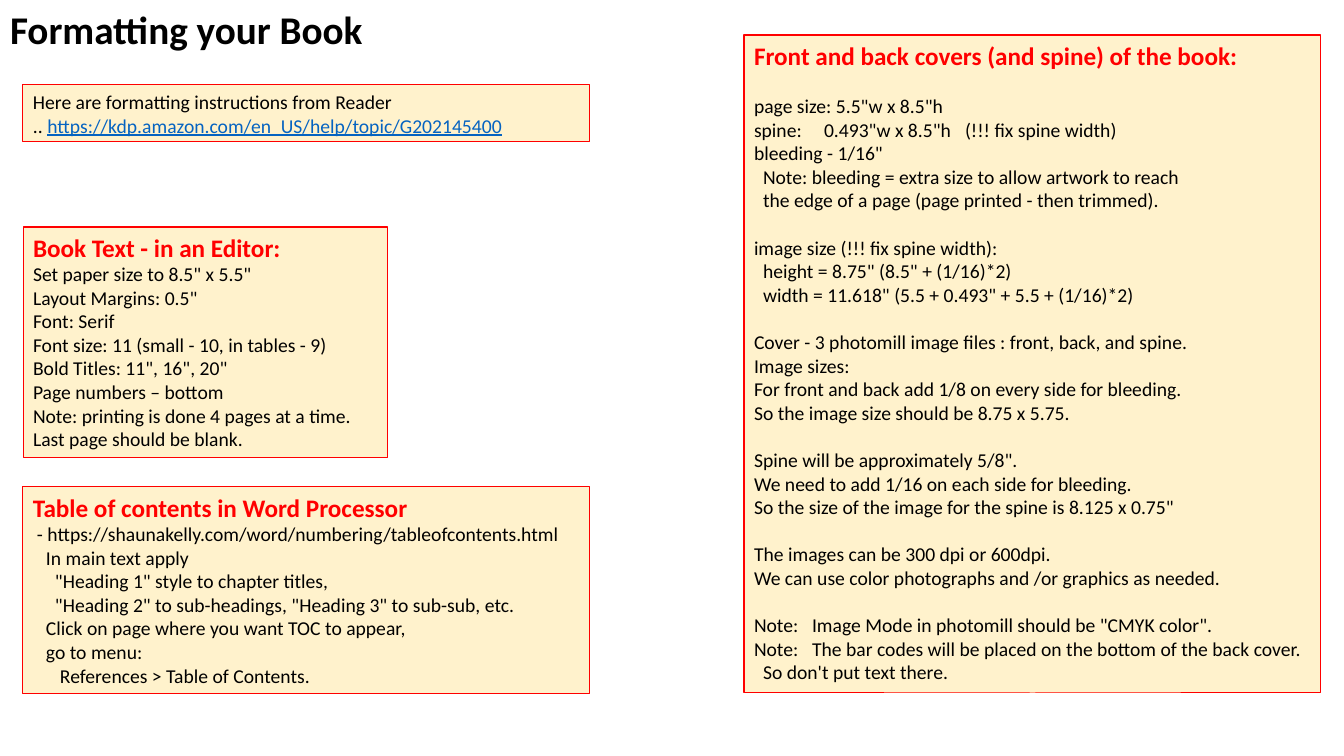
from collections import namedtuple

from lxml.etree import SubElement
from pptx import Presentation
from pptx.dml.color import RGBColor
from pptx.enum.shapes import MSO_SHAPE as Preset
from pptx.enum.text import MSO_ANCHOR as Anchor, MSO_AUTO_SIZE as AutoSize, PP_ALIGN as Align
from pptx.oxml.ns import qn
from pptx.util import Emu, Pt

EMU_PER_PX = 914400 / 100.8
FONT = "Calibri"
COLORS = {"text": "000000", "accent": "FF0000", "panel": "FFF2CC", "link": "0563C1"}
TITLE_PT, HEADING_PT, BODY_PT, SECTION_GAP_PT = 28, 18, 14, 17
PANEL_LEFT, WIDE_PANEL = 23, 567

Line = namedtuple("Line", "text indent gap tabs link", defaults=(0, False, (), ""))

INSTRUCTIONS = [
    Line("Here are formatting instructions from Reader"),
    Line(".. ", link="https://kdp.amazon.com/en_US/help/topic/G202145400"),
]

BOOK_TEXT = [
    Line('Set paper size to 8.5" x 5.5"'),
    Line('Layout Margins: 0.5"'),
    Line("Font: Serif"),
    Line("Font size: 11 (small - 10, in tables - 9)"),
    Line('Bold Titles: 11", 16", 20"'),
    Line("Page numbers – bottom"),
    Line("Note: printing is done 4 pages at a time."),
    Line("Last page should be blank."),
]

CONTENTS_TABLE = [
    Line("- https://shaunakelly.com/word/numbering/tableofcontents.html", 4),
    Line("In main text apply", 13),
    Line('"Heading 1" style to chapter titles,', 22),
    Line('"Heading 2" to sub-headings, "Heading 3" to sub-sub, etc.', 22),
    Line("Click on page where you want TOC to appear,", 13),
    Line("go to menu:", 13),
    Line("References > Table of Contents.", 27),
]

COVERS = [
    Line('page size: 5.5"w x 8.5"h', gap=True),
    Line('spine:\t0.493"w x 8.5"h\t(!!! fix spine width)', tabs=(70, 211)),
    Line('bleeding - 1/16"'),
    Line("Note: bleeding = extra size to allow artwork to reach", 9),
    Line("the edge of a page (page printed - then trimmed).", 9),
    Line("image size (!!! fix spine width):", gap=True),
    Line('height = 8.75" (8.5" + (1/16)*2)', 9),
    Line('width = 11.618" (5.5 + 0.493" + 5.5 + (1/16)*2)', 9),
    Line("Cover - 3 photomill image files : front, back, and spine.", gap=True),
    Line("Image sizes:"),
    Line("For front and back add 1/8 on every side for bleeding."),
    Line("So the image size should be 8.75 x 5.75."),
    Line('Spine will be approximately 5/8".', gap=True),
    Line("We need to add 1/16 on each side for bleeding."),
    Line('So the size of the image for the spine is 8.125 x 0.75"'),
    Line("The images can be 300 dpi or 600dpi.", gap=True),
    Line("We can use color photographs and /or graphics as needed."),
    Line('Note:\tImage Mode in photomill should be "CMYK color".', gap=True, tabs=(58,)),
    Line("Note:\tThe bar codes will be placed on the bottom of the back cover.", tabs=(58,)),
    Line("So don't put text there.", 9),
]


def px(length):
    return Emu(round(length * EMU_PER_PX))


def rgb(name):
    return RGBColor.from_string(COLORS[name])


def format_run(run, size, color, bold=False):
    run.font.name = FONT
    run.font.size = Pt(size)
    run.font.bold = bold
    run.font.color.rgb = rgb(color)


def set_up_frame(frame):
    frame.word_wrap = True
    frame.auto_size = AutoSize.NONE
    frame.vertical_anchor = Anchor.TOP
    frame.margin_left = frame.margin_right = px(10)
    frame.margin_top = frame.margin_bottom = px(5)


def write_title(slide, text):
    title = slide.shapes.title
    title.left, title.top, title.width, title.height = map(px, (0, 0, 514, 57))
    frame = title.text_frame
    frame.text = text
    set_up_frame(frame)
    paragraph = frame.paragraphs[0]
    paragraph.alignment = Align.LEFT
    paragraph.line_spacing = 1.0
    format_run(paragraph.runs[0], TITLE_PT, "text", bold=True)


def write_line(paragraph, line):
    paragraph.text = line.text
    paragraph.alignment = Align.LEFT
    properties = paragraph._p.get_or_add_pPr()
    if line.indent:
        properties.set("marL", str(px(line.indent)))
    if line.tabs:
        stops = SubElement(properties, qn("a:tabLst"))
        for position in line.tabs:
            SubElement(stops, qn("a:tab"), pos=str(px(position)), algn="l")
    if line.gap:
        paragraph.space_before = Pt(SECTION_GAP_PT)
    format_run(paragraph.runs[0], BODY_PT, "text")
    if line.link:
        address = paragraph.add_run()
        address.text = line.link
        format_run(address, BODY_PT, "link")
        address.font.underline = True


def add_panel(slide, left, top, width, height, lines, heading=None):
    panel = slide.shapes.add_shape(Preset.RECTANGLE, *map(px, (left, top, width, height)))
    panel.shadow.inherit = False
    panel.fill.solid()
    panel.fill.fore_color.rgb = rgb("panel")
    panel.line.color.rgb = rgb("accent")
    panel.line.width = Pt(0.75)
    frame = panel.text_frame
    set_up_frame(frame)
    paragraph = frame.paragraphs[0]
    if heading:
        paragraph.text = heading
        paragraph.alignment = Align.LEFT
        format_run(paragraph.runs[0], HEADING_PT, "accent", bold=True)
        paragraph = frame.add_paragraph()
    write_line(paragraph, lines[0])
    for line in lines[1:]:
        write_line(frame.add_paragraph(), line)


def main():
    deck = Presentation()
    deck.slide_width, deck.slide_height = px(1344), px(756)
    slide = deck.slides.add_slide(deck.slide_layouts[5])
    write_title(slide, "Formatting your Book")
    add_panel(slide, PANEL_LEFT, 227, 365, 231, BOOK_TEXT, "Book Text - in an Editor:")
    add_panel(slide, 744, 35, 577, 658, COVERS,
              "Front and back covers (and spine) of the book:")
    add_panel(slide, PANEL_LEFT, 487, WIDE_PANEL, 207, CONTENTS_TABLE,
              "Table of contents in Word Processor")
    add_panel(slide, PANEL_LEFT, 85, WIDE_PANEL, 57, INSTRUCTIONS)
    deck.save("out.pptx")


if __name__ == "__main__":
    main()
